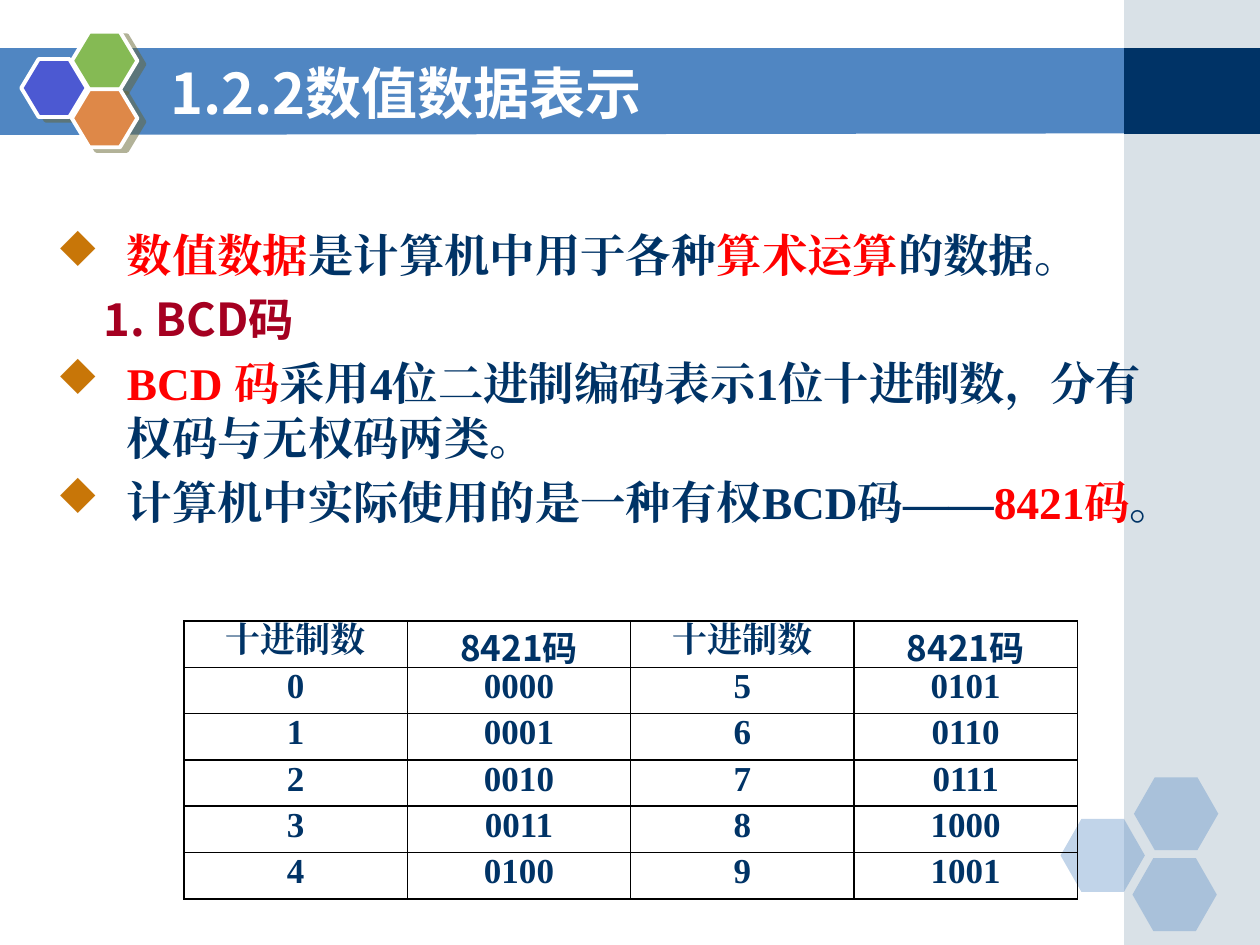
from lxml import etree
from pptx import Presentation
from pptx import util as u
from pptx.dml.color import RGBColor
from pptx.enum import shapes, text
from pptx.oxml import ns

Cm, Pt = u.Cm, u.Pt
WHITE = RGBColor(0xFF, 0xFF, 0xFF)
BLACK = RGBColor(0, 0, 0)
BLUE = RGBColor(0x50, 0x86, 0xC2)
NAVY = RGBColor(0x00, 0x33, 0x66)
PALE = RGBColor(0xA0, 0xB5, 0xC4)
INDIGO = RGBColor(0x4C, 0x59, 0xD2)
GREEN = RGBColor(0x85, 0xBA, 0x54)
ORANGE = RGBColor(0xDE, 0x88, 0x48)
OLIVE = RGBColor(0x66, 0x66, 0x33)
RED = RGBColor(0xFF, 0, 0)
CRIMSON = RGBColor(0xA5, 0x00, 0x21)
AMBER = RGBColor(0xC8, 0x76, 0x08)
SANS, SERIF = "Noto Sans CJK SC", "Times New Roman"


def add_node(parent, tag, **attributes):
    """Append a DrawingML element and return it."""
    return etree.SubElement(parent, ns.qn(tag), {k: str(v) for k, v in attributes.items()})


class SlideBuilder:
    """Hold the text style and the current slide, and draw each kind of element."""

    def __init__(self, slide):
        self.slide = slide
        self.body_size, self.cell_size, self.title_size = Pt(25.9), Pt(20), Pt(32)

    def paint(self, shape, color, opacity=100):
        shape.shadow.inherit = False
        shape.fill.solid()
        shape.fill.fore_color.rgb = color
        shape.line.fill.background()
        if opacity < 100:
            tint = shape._element.spPr.find(".//" + ns.qn("a:srgbClr"))
            add_node(tint, "a:alpha", val=opacity * 1000)
        return shape

    def outline(self, points, color):
        start, *rest = [(Cm(x), Cm(y)) for x, y in points]
        builder = self.slide.shapes.build_freeform(*start)
        builder.add_line_segments(rest, close=True)
        return self.paint(builder.convert_to_shape(), color)

    def shape(self, kind, left, top, width, height, color, opacity=100):
        shape = self.slide.shapes.add_shape(kind, Cm(left), Cm(top), Cm(width), Cm(height))
        return self.paint(shape, color, opacity)

    def hexagon(self, left, top, width, height, color, ratio, opacity=100):
        shape = self.shape(shapes.MSO_SHAPE.HEXAGON, left, top, width, height, color, opacity)
        shape.adjustments[0] = ratio
        return shape

    def badge(self, left, top, color):
        shape = self.hexagon(left, top, 1.32, 1.17, color, 0.3)
        shape.line.color.rgb = WHITE
        shape.line.width = Pt(2.25)
        effects = shape._element.spPr.find(ns.qn("a:effectLst"))
        shadow = add_node(effects, "a:outerShdw", dist=Pt(4.5), dir=27 * 60000, rotWithShape=0)
        add_node(add_node(shadow, "a:srgbClr", val=OLIVE), "a:alpha", val=50000)

    def fill_para(self, para, spans, size, font):
        para.font.size, para.font.bold, para.font.name = size, True, font
        if len({color for _, color in spans}) == 1:
            para.font.color.rgb = spans[0][1]
        for words, color in spans:
            span = para.add_run()
            span.text = words
            span.font.color.rgb = color
            add_node(span._r.get_or_add_rPr(), "a:ea", typeface=font)

    def text_box(self, left, top, width, height):
        box = self.slide.shapes.add_textbox(Cm(left), Cm(top), Cm(width), Cm(height))
        box.text_frame.word_wrap = True
        return box.text_frame

    def title(self, words):
        frame = self.text_box(3.18, 1.07, 18.62, 1.57)
        frame.vertical_anchor = text.MSO_ANCHOR.MIDDLE
        self.fill_para(frame.paragraphs[0], [(words, WHITE)], self.title_size, SANS)

    def body(self, items):
        frame = self.text_box(0.89, 3.12, 22.86, 8.64)
        frame.margin_top = Cm(1.45)
        for index, (bulleted, font, spans) in enumerate(items):
            para = frame.add_paragraph() if index else frame.paragraphs[0]
            para.line_spacing = Pt(31.4)
            para.space_before = Pt(5.2 if index else 0)
            props = para._p.get_or_add_pPr()
            props.set("marL", str(Cm(1.42 if bulleted else 0.95)))
            props.set("indent", str(Cm(-1.42 if bulleted else 0)))
            if bulleted:
                add_node(add_node(props, "a:buClr"), "a:srgbClr", val=AMBER)
                add_node(props, "a:buSzPct", val=95000)
                add_node(props, "a:buFont", typeface="Wingdings", charset=2)
                add_node(props, "a:buChar", char="u")
            else:
                add_node(props, "a:buNone")
            self.fill_para(para, spans, self.body_size, font)

    def border(self, cell):
        props = cell._tc.get_or_add_tcPr()
        for position, side in enumerate(("a:lnL", "a:lnR", "a:lnT", "a:lnB")):
            line = etree.Element(ns.qn(side), {"w": str(Pt(1))})
            add_node(add_node(line, "a:solidFill"), "a:srgbClr", val=BLACK)
            props.insert(position, line)

    def table(self, rows, left, top, width, height):
        count = len(rows[0])
        frame = self.slide.shapes.add_table(
            len(rows), count, Cm(left), Cm(top), Cm(width), Cm(height))
        table = frame.table
        table.first_row = table.horz_banding = False
        for row, values in enumerate(rows):
            for column, value in enumerate(values):
                cell = table.cell(row, column)
                cell.fill.background()
                cell.margin_left = cell.margin_right = Cm(0.18)
                cell.margin_top = cell.margin_bottom = 0
                para = cell.text_frame.paragraphs[0]
                para.alignment = text.PP_ALIGN.CENTER
                font = SANS if value.endswith("码") else SERIF
                self.fill_para(para, [(value, NAVY)], self.cell_size, font)
                self.border(cell)


def main():
    deck = Presentation()
    deck.slide_width, deck.slide_height = Cm(25.4), Cm(19.05)
    page = SlideBuilder(deck.slides.add_slide(deck.slide_layouts[6]))
    rectangle = shapes.MSO_SHAPE.RECTANGLE

    page.outline([(-0.03, 0.97), (22.73, 0.97), (22.73, 2.69), (-0.03, 2.72)], BLUE)
    page.shape(rectangle, 22.66, 0, 2.74, 19.05, PALE, 40)
    page.shape(rectangle, 22.66, 0.97, 2.74, 1.73, NAVY)
    for left, top in ((21.38, 16.51), (22.86, 15.67), (22.83, 17.3)):
        page.hexagon(left, top, 1.7, 1.47, BLUE, 0.286, 35)
    for left, top, color in ((0.43, 1.19, INDIGO), (1.45, 0.64, GREEN), (1.45, 1.8, ORANGE)):
        page.badge(left, top, color)

    page.title("1.2.2数值数据表示")
    page.body([
        (True, SERIF, [("数值数据", RED), ("是计算机中用于各种", NAVY),
                       ("算术运算", RED), ("的数据。", NAVY)]),
        (False, SANS, [("1. BCD码", CRIMSON)]),
        (True, SERIF, [("BCD 码", RED),
                       ("采用4位二进制编码表示1位十进制数，分有权码与无权码两类。", NAVY)]),
        (True, SERIF, [("计算机中实际使用的是一种有权BCD码——", NAVY),
                       ("8421码", RED), ("。", NAVY)]),
    ])
    digits = [[str(n), f"{n:04b}", str(n + 5), f"{n + 5:04b}"] for n in range(5)]
    page.table([["十进制数", "8421码"] * 2] + digits, 3.71, 12.52, 18.01, 5.6)
    deck.save("out.pptx")


if __name__ == "__main__":
    main()
